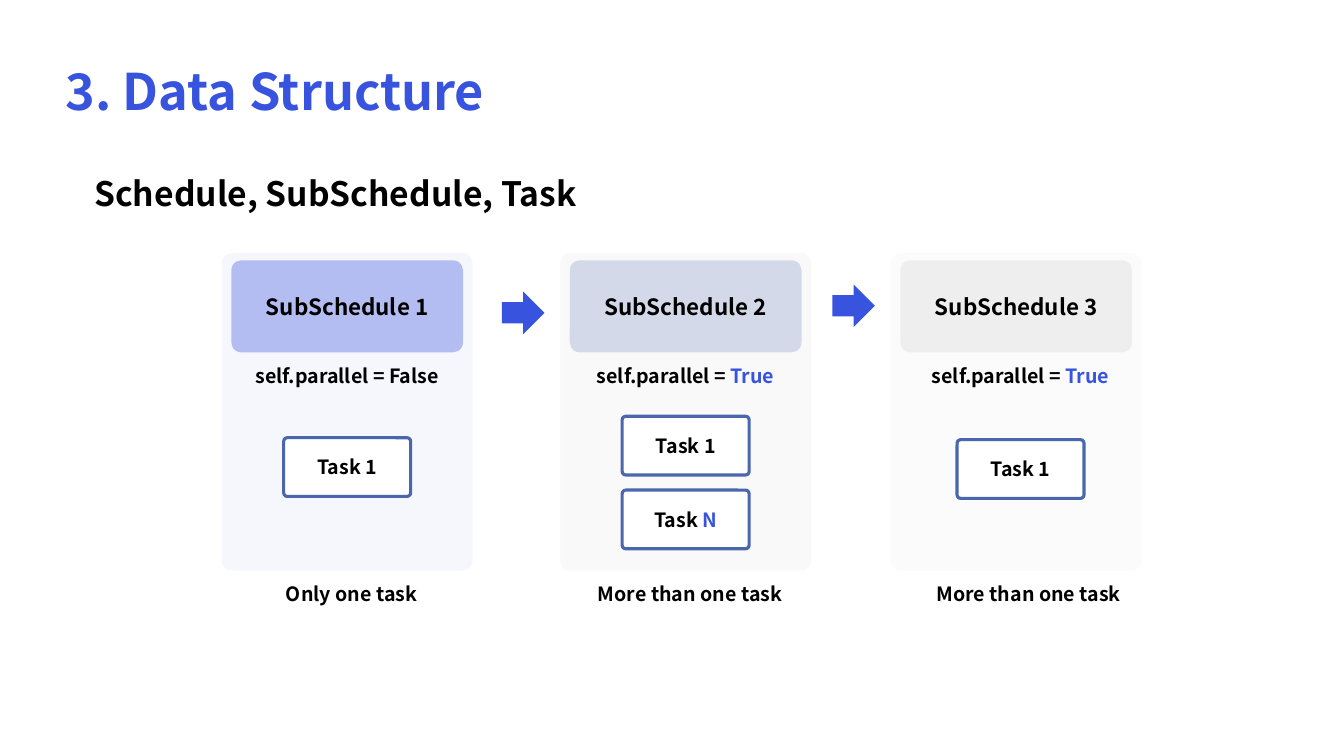
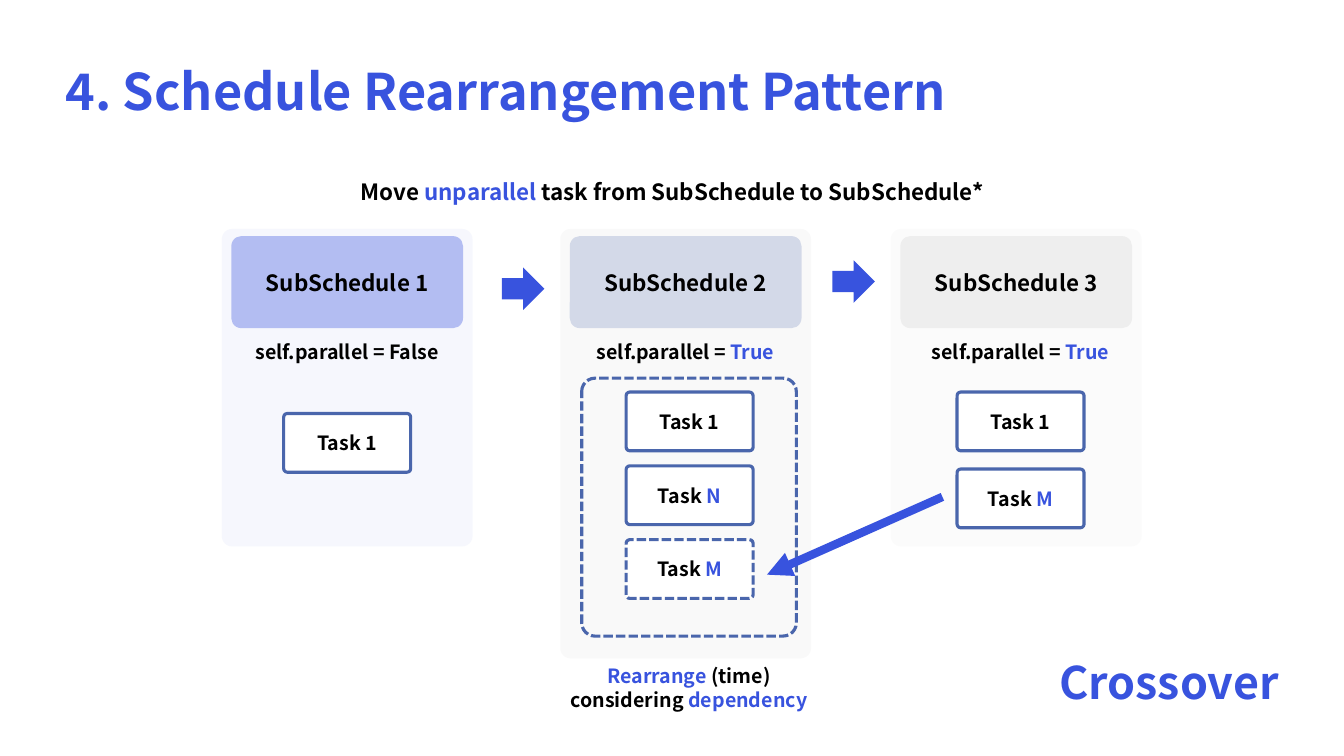
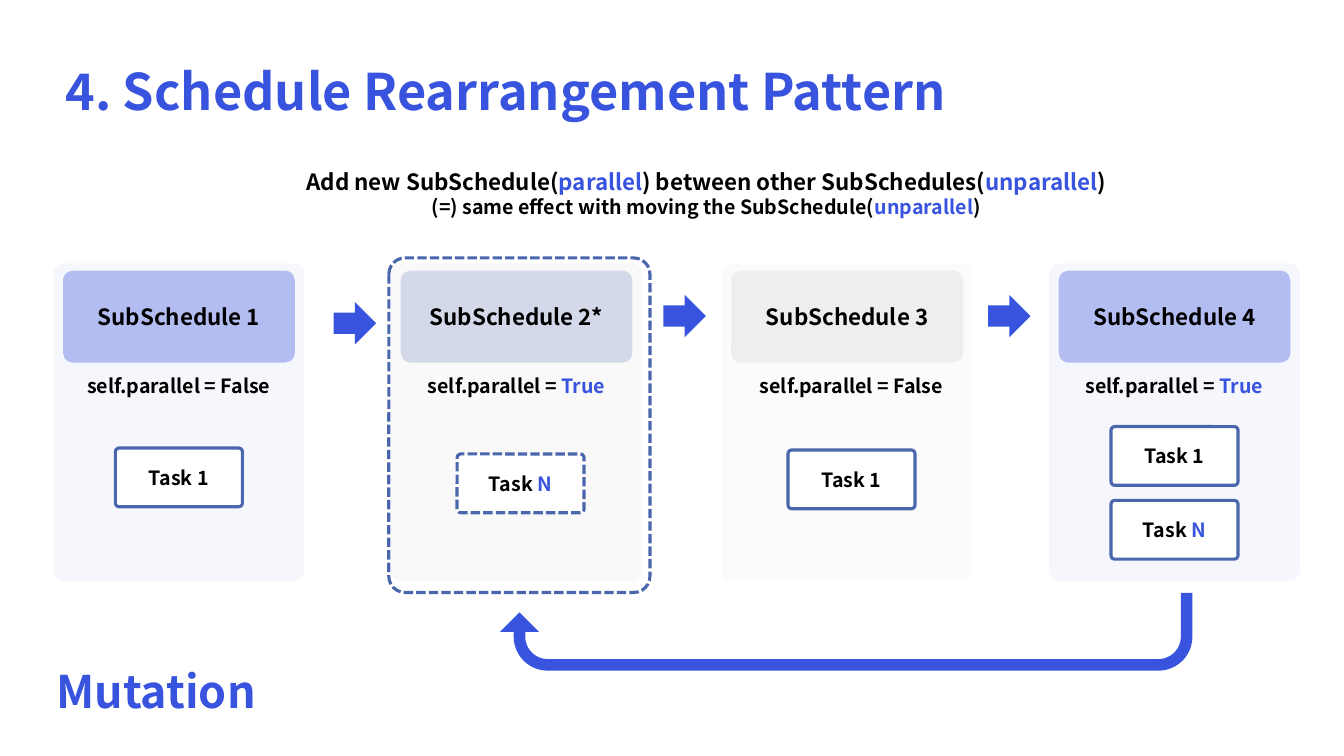
from dataclasses import dataclass

from lxml import etree
from pptx import Presentation
from pptx import util as u
from pptx.dml.color import RGBColor
from pptx.enum import dml, shapes, text
from pptx.oxml.ns import qn

# Shared style
FONT = "Noto Sans CJK KR"
BLUE, STEEL, LILAC = "3853DE", "4A66AC", "9FACEF"
BLACK, WHITE, GREY, PALE = "000000", "FFFFFF", "BFBFBF", "D9D9D9"
SHAPE = shapes.MSO_SHAPE

# Shared measures, in centimetres
PANEL_W, PANEL_H = 6.32, 8.0
HEADER_W, HEADER_H, HEADER_DROP = 5.84, 2.32, 0.18
TASK_W, TASK_H = 3.2, 1.48
ARROW_SIZE = 1.07
ARROW_OFFSETS = [(7.06, 0.97), (6.86, 0.79), (6.71, 0.79)]

# Panel and header colour with opacity in percent
LILAC_LOOK = ((LILAC, 9), (LILAC, 77))
STEEL_LOOK = ((GREY, 9), (STEEL, 21))
GREY_LOOK = ((PALE, 9), (GREY, 21))

# Text between bars takes the accent colour
FALSE, TRUE = "self.parallel = False", "self.parallel = |True|"
TASK_1, TASK_N, TASK_M = "Task 1", "Task |N|", "Task |M|"


@dataclass
class Column:
    left: float
    name: str
    look: tuple
    flag: str
    tasks: list
    first: float = 4.11
    step: float = 1.86
    flag_shift: float = 0
    task_shift: float = 0
    height: float = PANEL_H
    last_dashed: bool = False


def rgb(color):
    return RGBColor.from_string(color)


def paint(sp, color, opacity=100):
    sp.fill.solid()
    sp.fill.fore_color.rgb = rgb(color)
    if opacity < 100:
        clr = sp._element.spPr.find(qn("a:solidFill")).find(qn("a:srgbClr"))
        etree.SubElement(clr, qn("a:alpha")).set("val", str(opacity * 1000))


def write(tf, lines, color=BLACK, align=text.PP_ALIGN.CENTER):
    """Write (markup, size) lines, switching colour at each bar."""
    for i, (markup, size) in enumerate(lines):
        p = tf.paragraphs[0] if i == 0 else tf.add_paragraph()
        p.alignment = align
        for n, part in enumerate(markup.split("|")):
            if part:
                r = p.add_run()
                r.text = part
                r.font.name, r.font.size, r.font.bold = FONT, u.Pt(size), True
                r.font.color.rgb = rgb(BLUE if n % 2 else color)


def add_shape(s, kind, left, top, width, height, fill=None, opacity=100, adj=()):
    sp = s.shapes.add_shape(kind, u.Cm(left), u.Cm(top), u.Cm(width), u.Cm(height))
    sp.shadow.inherit = False
    sp.line.fill.background()
    if fill:
        paint(sp, fill, opacity)
    else:
        sp.fill.background()
    for i, value in enumerate(adj):
        sp.adjustments[i] = value
    return sp


def outline(sp, dashed=False):
    sp.line.color.rgb = rgb(STEEL)
    sp.line.width = u.Pt(2.25)
    if dashed:
        sp.line.dash_style = dml.MSO_LINE.SQUARE_DOT


def add_text(s, left, top, width, lines, color=BLACK, align=text.PP_ALIGN.CENTER, wrap=True):
    height = 0.25 + sum(size for _, size in lines) * 0.05
    tf = s.shapes.add_textbox(u.Cm(left), u.Cm(top), u.Cm(width), u.Cm(height)).text_frame
    tf.word_wrap = wrap
    write(tf, lines, color, align)


def add_task(s, left, top, label, dashed):
    sp = add_shape(s, SHAPE.ROUNDED_RECTANGLE, left, top, TASK_W, TASK_H, WHITE, adj=[0.062])
    outline(sp, dashed)
    write(sp.text_frame, [(label, 14)])


def add_column(s, top, col):
    panel, header = col.look
    add_shape(s, SHAPE.ROUNDED_RECTANGLE, col.left, top, PANEL_W, col.height, *panel, adj=[0.041])
    sp = add_shape(s, SHAPE.ROUNDED_RECTANGLE, col.left + (PANEL_W - HEADER_W) / 2,
                   top + HEADER_DROP, HEADER_W, HEADER_H, *header, adj=[0.109])
    write(sp.text_frame, [(col.name, 16)])
    add_text(s, col.left + col.flag_shift, top + 2.66, PANEL_W, [(col.flag, 14)])
    task_left = col.left + (PANEL_W - TASK_W) / 2 + col.task_shift
    for i, label in enumerate(col.tasks):
        dashed = col.last_dashed and i == len(col.tasks) - 1
        add_task(s, task_left, top + col.first + i * col.step, label, dashed)


def add_schedule(s, top, columns):
    for col in columns:
        add_column(s, top, col)
    for col, (dx, dy) in zip(columns[:-1], ARROW_OFFSETS):
        add_shape(s, SHAPE.RIGHT_ARROW, col.left + dx, top + dy, ARROW_SIZE, ARROW_SIZE, BLUE)


def add_frame(s, left, top, width, height):
    outline(add_shape(s, SHAPE.ROUNDED_RECTANGLE, left, top, width, height, adj=[0.062]), True)


def add_arrow_line(s, x1, y1, x2, y2):
    cn = s.shapes.add_connector(shapes.MSO_CONNECTOR.STRAIGHT,
                                u.Cm(x1), u.Cm(y1), u.Cm(x2), u.Cm(y2))
    cn.line.color.rgb = rgb(BLUE)
    cn.line.width = u.Pt(6)
    spPr = cn._element.spPr
    etree.SubElement(spPr.find(qn("a:ln")), qn("a:tailEnd")).set("type", "triangle")
    etree.SubElement(spPr, qn("a:effectLst"))


def add_slide(prs, title):
    s = prs.slides.add_slide(prs.slide_layouts[6])
    add_text(s, 1.4, 1.4, 25, [(title, 36)], BLUE, text.PP_ALIGN.LEFT, wrap=False)
    return s


def structure_slide(prs):
    s = add_slide(prs, "3. Data Structure")
    add_text(s, 0.74, 4.22, 15.42, [("Schedule, SubSchedule, Task", 24)])
    add_schedule(s, 6.38, [
        Column(5.59, "SubSchedule 1", LILAC_LOOK, FALSE, [TASK_1], first=4.65),
        Column(14.12, "SubSchedule 2", STEEL_LOOK, TRUE, [TASK_1, TASK_N]),
        Column(22.45, "SubSchedule 3", GREY_LOOK, TRUE, [TASK_1], first=4.7,
               flag_shift=0.11, task_shift=0.11),
    ])
    # Captions under the panels
    captions = ["Only one task", "More than one task", "More than one task"]
    for i, caption in enumerate(captions):
        add_text(s, 6.07 + i * 8.53, 14.55, 5.59, [(caption, 14)])


def crossover_slide(prs):
    s = add_slide(prs, "4. Schedule Rearrangement Pattern")
    add_text(s, 6.05, 4.37, 21.79,
             [("Move |unparallel| task from SubSchedule to SubSchedule*", 16)])
    add_schedule(s, 5.77, [
        Column(5.59, "SubSchedule 1", LILAC_LOOK, FALSE, [TASK_1], first=4.65),
        Column(14.12, "SubSchedule 2", STEEL_LOOK, TRUE, [TASK_1, TASK_N, TASK_M],
               task_shift=0.1, height=10.82, last_dashed=True),
        Column(22.45, "SubSchedule 3", GREY_LOOK, TRUE, [TASK_1, TASK_M], step=1.94,
               flag_shift=0.11, task_shift=0.11),
    ])
    # Task M moves into the rearranged group
    add_frame(s, 14.66, 9.53, 5.41, 6.5)
    add_arrow_line(s, 23.75, 12.52, 19.33, 14.48)
    add_text(s, 9.63, 16.61, 15.47,
             [("|Rearrange| (time)", 14), ("considering |dependency|", 14)])
    add_text(s, 25.73, 16.38, 7.47, [("Crossover", 32)], BLUE)


def mutation_slide(prs):
    s = add_slide(prs, "4. Schedule Rearrangement Pattern")
    add_text(s, 5.61, 4.11, 24.38, [
        ("Add new SubSchedule(|parallel|) between other SubSchedules(|unparallel|)", 16),
        ("(=) same effect with moving the SubSchedule(|unparallel|)", 14),
    ])
    add_schedule(s, 6.64, [
        Column(1.35, "SubSchedule 1", LILAC_LOOK, FALSE, [TASK_1], first=4.65),
        Column(9.86, "SubSchedule 2*", STEEL_LOOK, TRUE, [TASK_N], first=4.8,
               task_shift=0.1, last_dashed=True),
        Column(18.19, "SubSchedule 3", GREY_LOOK, FALSE, [TASK_1], first=4.7,
               flag_shift=0.11, task_shift=0.11),
        Column(26.44, "SubSchedule 4", LILAC_LOOK, TRUE, [TASK_1, TASK_N]),
    ])
    # The fourth column feeds the new second one
    add_frame(s, 9.8, 6.5, 6.58, 8.43)
    sp = add_shape(s, SHAPE.U_TURN_ARROW, 12.6, 14.94, 17.45, 1.96, BLUE,
                   adj=[0.149, 0.25, 0.25, 0.438, 0.75])
    sp.rotation = 180
    add_text(s, 0.2, 16.59, 7.47, [("Mutation", 32)], BLUE)


def main():
    prs = Presentation()
    prs.slide_width, prs.slide_height = u.Cm(33.87), u.Cm(19.05)
    structure_slide(prs)
    crossover_slide(prs)
    mutation_slide(prs)
    prs.save("out.pptx")


if __name__ == "__main__":
    main()
